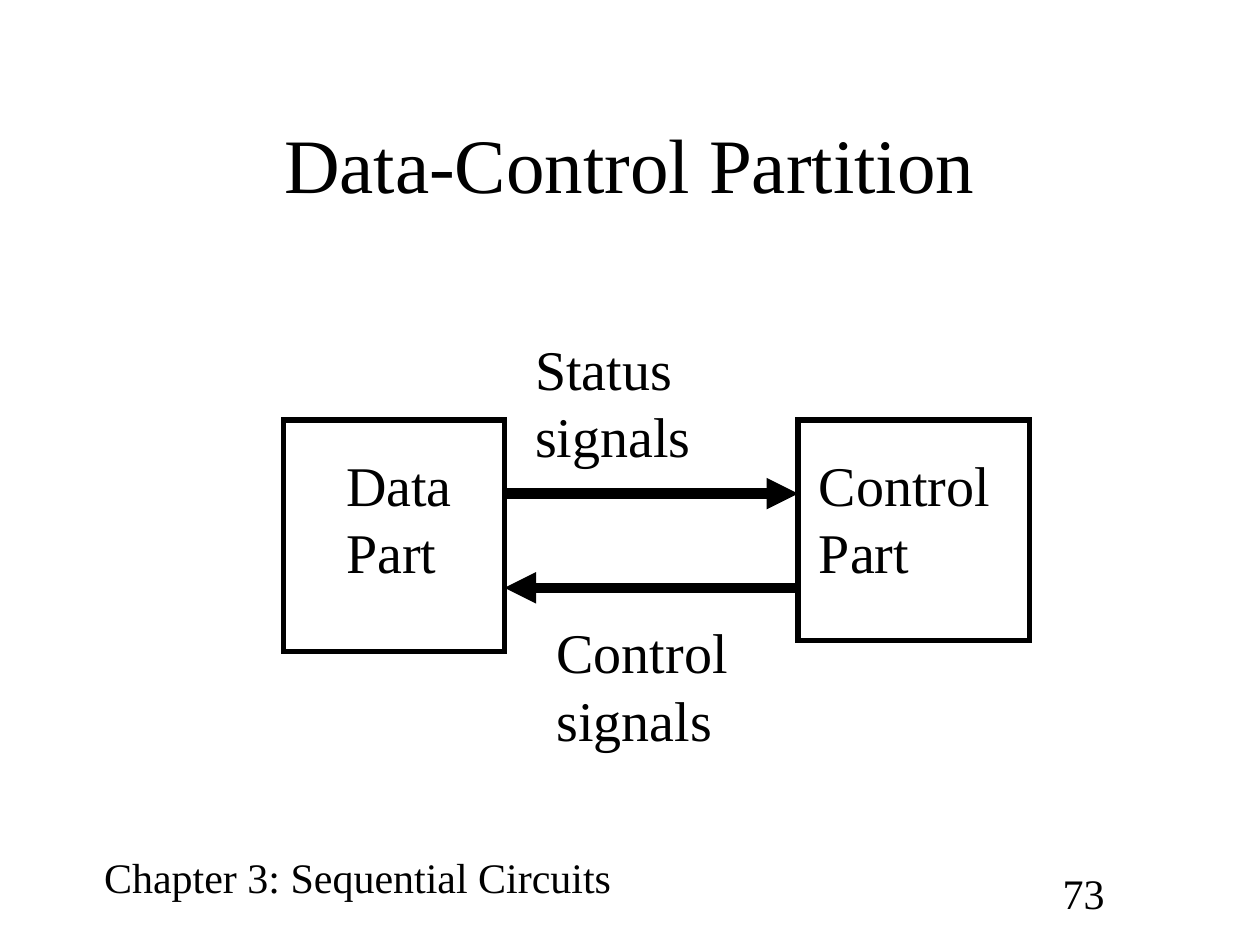
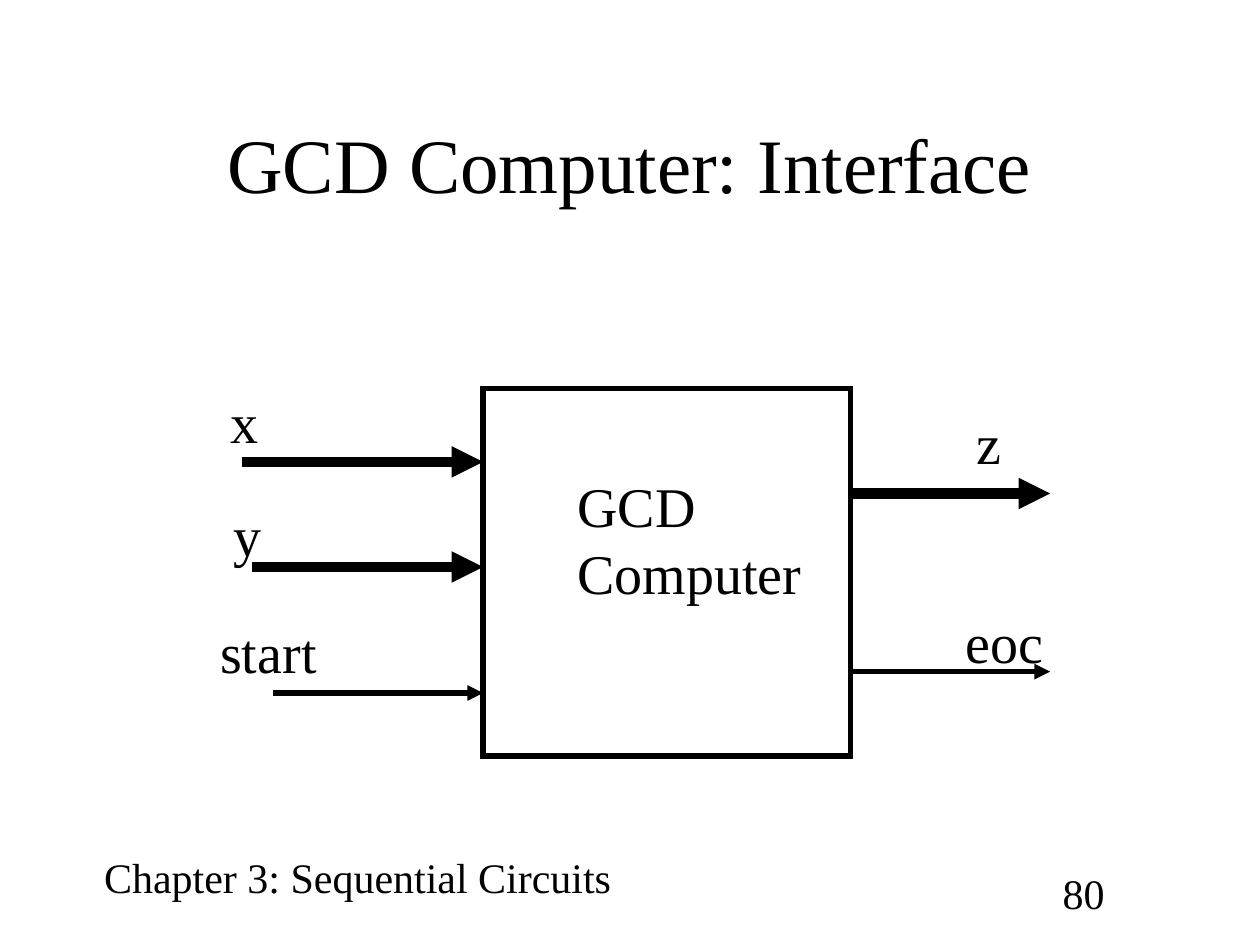
from dataclasses import dataclass

from lxml import etree
from pptx import Presentation
from pptx.dml.color import RGBColor
from pptx.enum import shapes, text
from pptx.oxml import ns
from pptx.util import Cm, Pt

COLORS = {"ink": "000000", "paper": "FFFFFF"}
FONT = "Times New Roman"
TITLE_SIZE, LABEL_SIZE, FOOTER_SIZE = 44, 32, 24
BUS, WIRE = 6, 3  # line widths in points
LINE_HEIGHT = {1: 1.63, 2: 2.97}  # label box heights in cm
CHAPTER = "Chapter 3: Sequential Circuits"


@dataclass
class Box:
    left: float
    top: float
    width: float
    height: float

    @property
    def right(self):
        return self.left + self.width

    def lengths(self):
        return [Cm(v) for v in (self.left, self.top, self.width, self.height)]


def color(name):
    return RGBColor.from_string(COLORS[name])


def add_text(slide, box, words, size, wrap=False, align=text.PP_ALIGN.LEFT,
             anchor=text.MSO_ANCHOR.TOP):
    """Add text; a box that does not wrap grows to fit its lines."""
    frame = slide.shapes.add_textbox(*box.lengths()).text_frame
    frame.word_wrap = wrap
    if not wrap:
        frame.auto_size = text.MSO_AUTO_SIZE.SHAPE_TO_FIT_TEXT
    frame.vertical_anchor = anchor
    frame.text = words
    for paragraph in frame.paragraphs:
        paragraph.alignment = align
        paragraph.font.name = FONT
        paragraph.font.size = Pt(size)
        paragraph.font.color.rgb = color("ink")


def add_label(slide, left, top, width, words):
    height = LINE_HEIGHT[words.count("\n") + 1]
    add_text(slide, Box(left, top, width, height), words, LABEL_SIZE)


def add_block(slide, box):
    """Draw an unfilled rectangle with sharp corners."""
    block = slide.shapes.add_shape(shapes.MSO_SHAPE.RECTANGLE, *box.lengths())
    block.shadow.inherit = False
    block.fill.background()
    block.line.color.rgb = color("ink")
    block.line.width = Pt(3)
    etree.SubElement(block.line._get_or_add_ln(), ns.qn("a:miter"), lim="800000")


def add_signal(slide, start, end, y, weight):
    """Draw a horizontal arrow from x = start to x = end."""
    signal = slide.shapes.add_connector(
        shapes.MSO_CONNECTOR.STRAIGHT, Cm(start), Cm(y), Cm(end), Cm(y))
    signal.line.color.rgb = color("ink")
    signal.line.width = Pt(weight)
    etree.SubElement(signal.line._get_or_add_ln(), ns.qn("a:tailEnd"), type="triangle")
    etree.SubElement(signal._element.spPr, ns.qn("a:effectLst"))


def add_page(deck, title, number):
    """Add a slide with its title, chapter footer and page number."""
    slide = deck.slides.add_slide(deck.slide_layouts[6])
    slide.background.fill.solid()
    slide.background.fill.fore_color.rgb = color("paper")
    add_text(slide, Box(1.85, 17.05, 11.37, 1.27), CHAPTER, FOOTER_SIZE)
    add_text(slide, Box(21.17, 17.36, 2.33, 1.27), str(number), FOOTER_SIZE, wrap=True)
    add_text(slide, Box(1.9, 1.69, 21.59, 3.18), title, TITLE_SIZE, wrap=True,
             align=text.PP_ALIGN.CENTER, anchor=text.MSO_ANCHOR.MIDDLE)
    return slide


def draw_partition(slide, area):
    """Place the data part at the left of the area and the control part at its right."""
    short, long = 4.45, area.height
    data = Box(area.left, area.top, short, long)
    control = Box(area.right - long, area.top, long, short)
    for part in (data, control):
        add_block(slide, part)
    add_signal(slide, data.right, control.left, area.top + 1.48, BUS)
    add_signal(slide, control.left, data.right, area.top + 3.38, BUS)
    for left, drop, width, words in (
            (data.left + 1.01, 0.48, 2.66, "Data\nPart"),
            (control.left + 0.17, 0.48, 3.98, "Control\nPart"),
            (data.right + 0.37, -1.86, 3.68, "Status\nsignals"),
            (data.right + 0.8, 3.86, 3.98, "Control\nsignals")):
        add_label(slide, left, area.top + drop, width, words)


def draw_interface(slide, computer):
    """Draw the computer with its inputs at the left and outputs at the right."""
    add_block(slide, computer)
    add_label(slide, computer.left + 1.65, computer.top + 1.55, 5.05, "GCD\nComputer")
    # name, arrow length, arrow drop, weight, label offset, label drop, label width
    inputs = (("x", 4.87, 1.48, BUS, -5.35, -0.15, 1.08),
              ("y", 4.66, 3.6, BUS, -5.29, 2.13, 1.08),
              ("start", 4.23, 6.14, WIRE, -5.55, 4.5, 2.48))
    outputs = (("z", 4.02, 2.12, BUS, 2.28, 0.28, 1.03),
               ("eoc", 4.02, 5.71, WIRE, 2.07, 4.29, 2.1))
    for edge, ports in ((computer.left, inputs), (computer.right, outputs)):
        for name, length, drop, weight, offset, label_drop, width in ports:
            start = edge - length if ports is inputs else edge
            add_signal(slide, start, start + length, computer.top + drop, weight)
            add_label(slide, edge + offset, computer.top + label_drop, width, name)


def main():
    deck = Presentation()
    deck.slide_width, deck.slide_height = Cm(25.4), Cm(19.05)
    draw_partition(add_page(deck, "Data-Control Partition", 73),
                   Box(5.72, 8.47, 15.03, 4.66))
    draw_interface(add_page(deck, "GCD Computer: Interface", 80),
                   Box(9.74, 7.83, 7.41, 7.41))
    deck.save("out.pptx")


if __name__ == "__main__":
    main()
